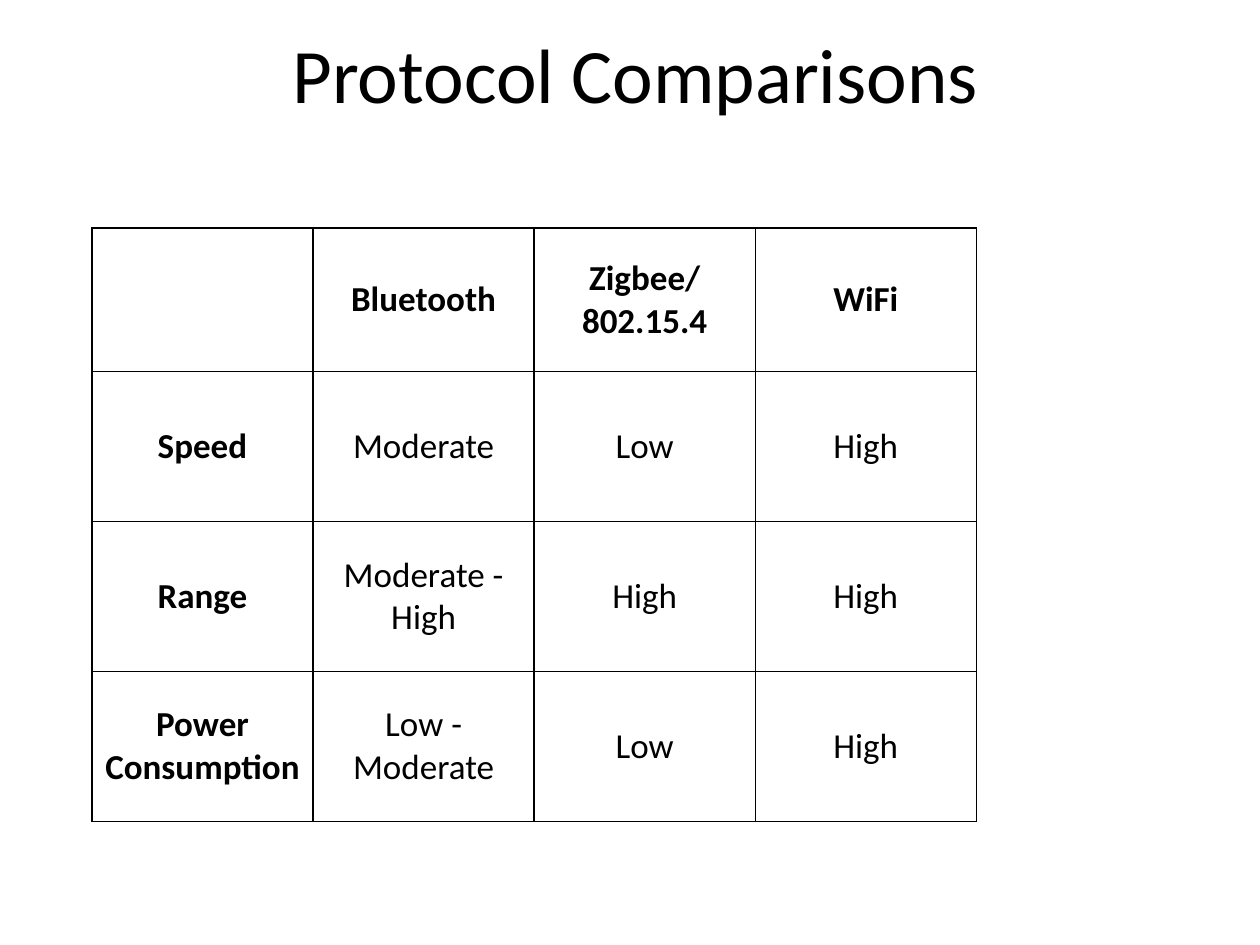
from dataclasses import dataclass

from lxml.etree import SubElement
from pptx import Presentation
from pptx.dml.color import RGBColor
from pptx.enum.text import MSO_ANCHOR as Anchor, PP_ALIGN as Align
from pptx.oxml.ns import qn
from pptx.util import Inches, Pt


@dataclass(frozen=True)
class Theme:
    font: str = "Calibri"
    ink: str = "000000"
    title_size: int = 44
    cell_size: int = 20
    border_width: int = 1


@dataclass(frozen=True)
class Row:
    cells: tuple[str, ...]
    height: float = 1.19
    header: bool = False


THEME = Theme()
COLUMN_WIDTH = 1.755
CELL_MARGIN = 0.1
ROWS = (
    Row(("", "Bluetooth", "Zigbee/802.15.4", "WiFi"), height=1.14, header=True),
    Row(("Speed", "Moderate", "Low", "High")),
    Row(("Range", "Moderate - High", "High", "High")),
    Row(("Power Consumption", "Low - Moderate", "Low", "High")),
)


def write_text(frame, text: str, *, size: int, bold: bool = False) -> None:
    """Put one centred paragraph in a text frame."""
    para = frame.paragraphs[0]
    para.alignment = Align.CENTER
    para.font.size = Pt(size)
    if not text:
        return
    span = para.add_run()
    span.text = text
    span.font.name = THEME.font
    span.font.size = Pt(size)
    span.font.bold = bold
    span.font.color.rgb = RGBColor.from_string(THEME.ink)


def add_borders(cell) -> None:
    """Draw a solid line on all four sides of a cell."""
    properties = cell._tc.get_or_add_tcPr()
    for position, side in enumerate(("lnL", "lnR", "lnT", "lnB")):
        line = SubElement(properties, qn(f"a:{side}"), w=str(Pt(THEME.border_width)))
        fill = SubElement(line, qn("a:solidFill"))
        SubElement(fill, qn("a:srgbClr"), val=THEME.ink)
        properties.insert(position, line)  # borders come before the fill


def format_cell(cell, text: str, *, bold: bool) -> None:
    cell.fill.background()
    add_borders(cell)
    cell.vertical_anchor = Anchor.MIDDLE
    cell.margin_left = cell.margin_right = Inches(CELL_MARGIN)
    cell.margin_top = cell.margin_bottom = Inches(CELL_MARGIN)
    write_text(cell.text_frame, text, size=THEME.cell_size, bold=bold)


def add_title(page, text: str) -> None:
    title = page.shapes.title
    title.left, title.top = Inches(0.19), Inches(0.08)
    title.width, title.height = Inches(9.71), Inches(1)
    title.text_frame.word_wrap = True
    title.text_frame.vertical_anchor = Anchor.MIDDLE
    write_text(title.text_frame, text, size=THEME.title_size)


def add_comparison(page, rows: tuple[Row, ...], *, left: float, top: float) -> None:
    columns = len(rows[0].cells)
    table = page.shapes.add_table(
        len(rows), columns, Inches(left), Inches(top),
        Inches(COLUMN_WIDTH * columns), Inches(sum(row.height for row in rows)),
    ).table
    table.first_row = table.horz_banding = False
    for column in table.columns:
        column.width = Inches(COLUMN_WIDTH)
    for r, row in enumerate(rows):
        table.rows[r].height = Inches(row.height)
        for c, text in enumerate(row.cells):
            format_cell(table.cell(r, c), text, bold=row.header or c == 0)


def main() -> None:
    deck = Presentation()
    deck.slide_width, deck.slide_height = Inches(10), Inches(7.5)
    page = deck.slides.add_slide(deck.slide_layouts.get_by_name("Title Only"))

    # Heading
    add_title(page, "Protocol Comparisons")

    # Protocols across, properties down
    add_comparison(page, ROWS, left=0.73, top=1.81)

    deck.save("out.pptx")


if __name__ == "__main__":
    main()
